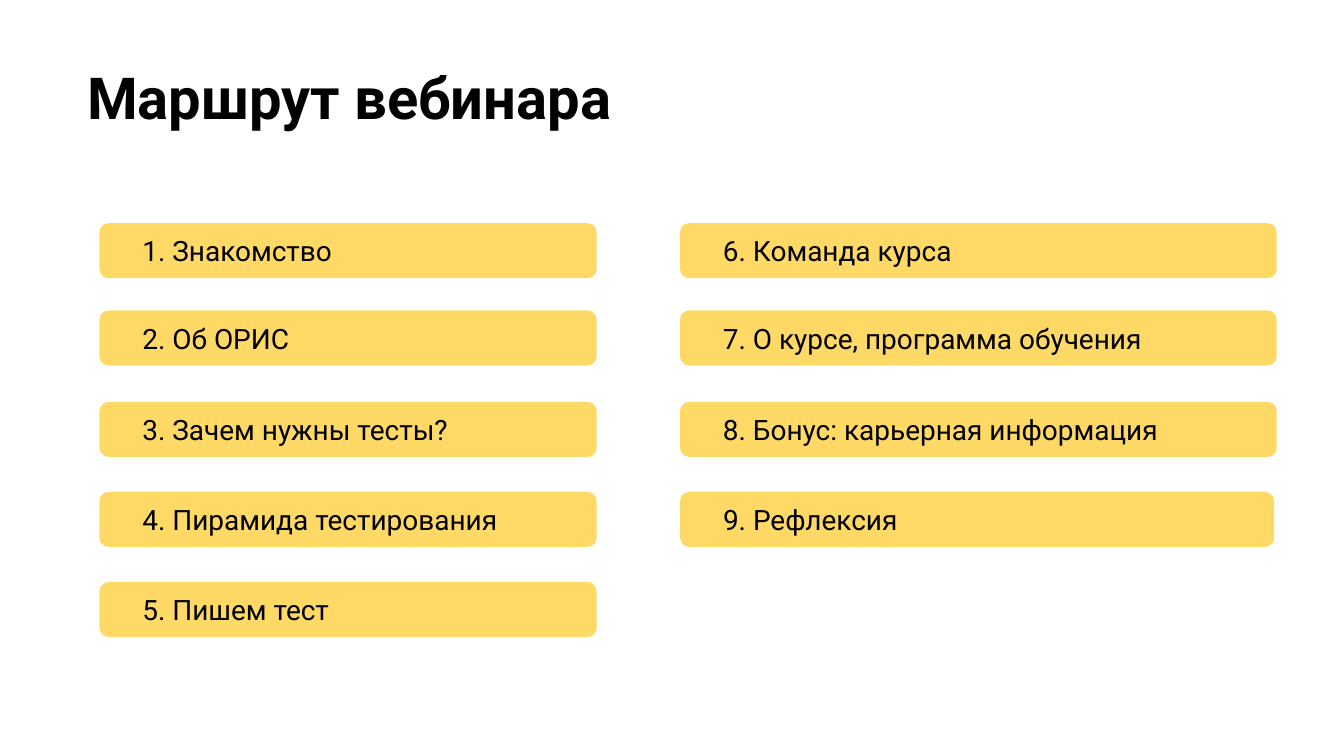
from pptx import Presentation
from pptx.dml.color import RGBColor
from pptx.enum.shapes import MSO_SHAPE
from pptx.enum.text import MSO_ANCHOR, MSO_AUTO_SIZE, PP_ALIGN
from pptx.util import Inches, Pt

BLACK = RGBColor(0x00, 0x00, 0x00)
YELLOW = RGBColor(0xFF, 0xD9, 0x66)

SLIDE_WIDTH = Inches(10)
SLIDE_HEIGHT = SLIDE_WIDTH * 9 // 16
ROW_TOPS = [1.66, 2.31, 2.99, 3.66, 4.33]
BAR_HEIGHT = 0.41
COLUMNS = [
    (0.74, 3.7, ["Знакомство", "Об ОРИС", "Зачем нужны тесты?",
                 "Пирамида тестирования", "Пишем тест"]),
    (5.06, 4.44, ["Команда курса", "О курсе, программа обучения",
                  "Бонус: карьерная информация", "Рефлексия"]),
]


def set_attrs(obj, values):
    for name, value in values.items():
        setattr(obj, name, value)


def write_text(sp, text, size, bold, anchor, side_inset):
    tf = sp.text_frame
    set_attrs(tf, {
        "word_wrap": True, "auto_size": MSO_AUTO_SIZE.NONE,
        "vertical_anchor": anchor,
        "margin_left": Inches(side_inset), "margin_right": Inches(side_inset),
        "margin_top": Inches(0.1), "margin_bottom": Inches(0.1),
    })
    p = tf.paragraphs[0]
    p.alignment = PP_ALIGN.LEFT
    r = p.add_run()
    r.text = text
    set_attrs(r.font, {"name": "Roboto", "size": Pt(size), "bold": bold})
    r.font.color.rgb = BLACK


def add_title(s, text):
    sp = s.shapes.title
    set_attrs(sp, {"left": Inches(0.55), "top": Inches(0.36),
                   "width": Inches(9.32), "height": Inches(1.07)})
    write_text(sp, text, 31, True, MSO_ANCHOR.TOP, 0.1)


def add_bar(s, left, top, width, text):
    sp = s.shapes.add_shape(
        MSO_SHAPE.ROUNDED_RECTANGLE, Inches(left), Inches(top),
        Inches(width), Inches(BAR_HEIGHT))
    sp.shadow.inherit = False
    sp.fill.solid()
    sp.fill.fore_color.rgb = YELLOW
    sp.line.fill.background()
    write_text(sp, text, 15, False, MSO_ANCHOR.MIDDLE, 0.3)
    return sp


def main():
    prs = Presentation()
    set_attrs(prs, {"slide_width": SLIDE_WIDTH, "slide_height": SLIDE_HEIGHT})
    s = prs.slides.add_slide(prs.slide_layouts.get_by_name("Title Only"))
    add_title(s, "Маршрут вебинара")
    number = 1
    for left, width, topics in COLUMNS:
        for top, topic in zip(ROW_TOPS, topics):
            bar = add_bar(s, left, top, width, f"{number}. {topic}")
            number += 1
    bar.width = Inches(4.42)
    prs.save("out.pptx")


if __name__ == "__main__":
    main()
